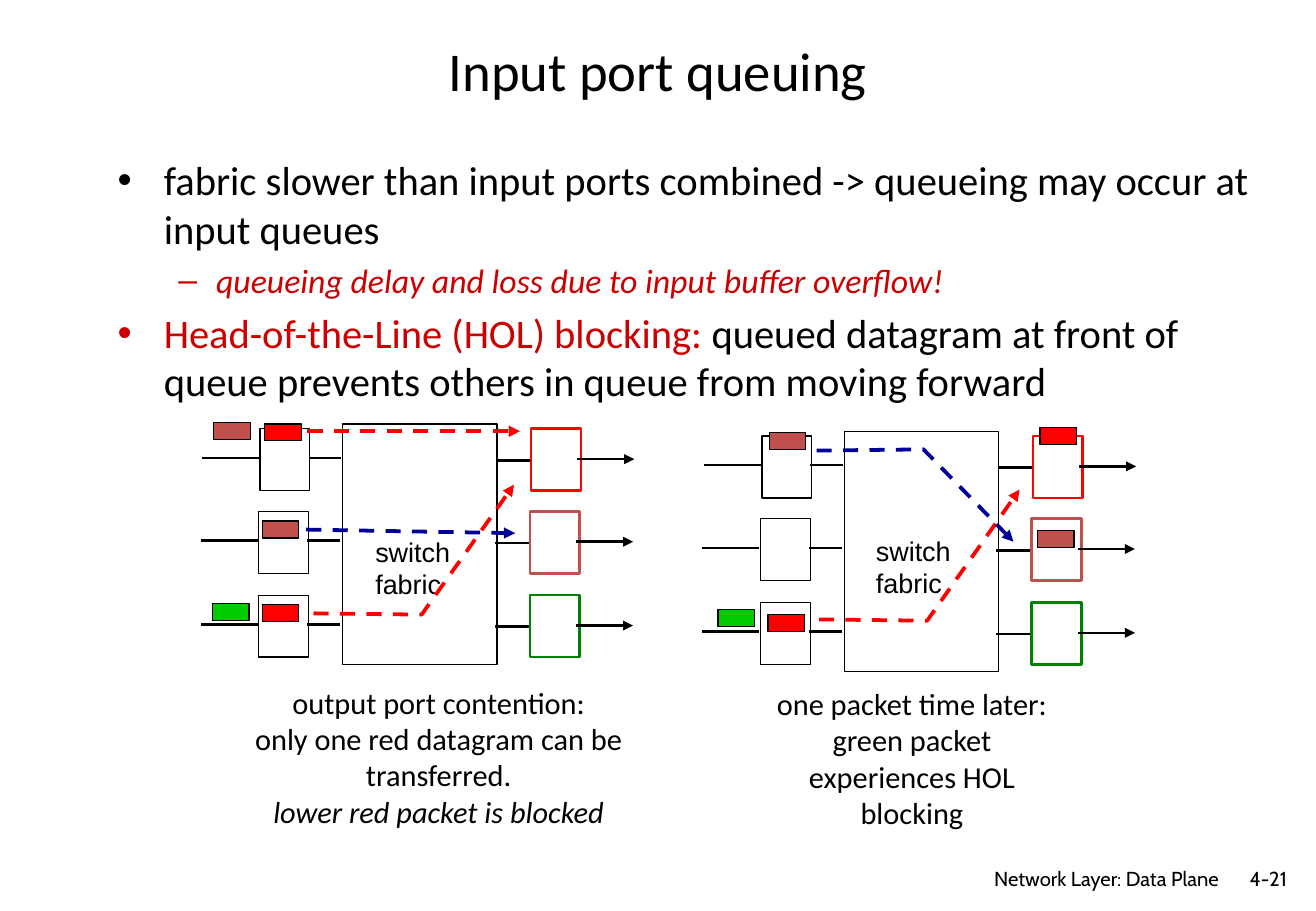
from lxml import etree
from pptx import Presentation
from pptx.dml.color import RGBColor
from pptx.enum.dml import MSO_LINE_DASH_STYLE as Dash
from pptx.enum.shapes import MSO_CONNECTOR as Connector, MSO_SHAPE as Shape
from pptx.enum.text import MSO_ANCHOR as Anchor, PP_ALIGN as Align
from pptx.oxml.ns import qn
from pptx.util import Inches, Pt

BLACK = RGBColor(0x00, 0x00, 0x00)
WHITE = RGBColor(0xFF, 0xFF, 0xFF)
RED = RGBColor(0xFF, 0x00, 0x00)
BRICK = RGBColor(0xC0, 0x50, 0x4D)
DARK_GREEN = RGBColor(0x00, 0x80, 0x00)
GREEN = RGBColor(0x00, 0xCC, 0x00)
BLUE = RGBColor(0x00, 0x00, 0x99)
ACCENT = RGBColor(0xCC, 0x00, 0x00)

# A paragraph is a list of spans: (text, colour, italic)
TITLE = [[("Input port queuing", BLACK, False)]]
BODY = [
    [("fabric slower than input ports combined -> queueing may occur at input queues",
      BLACK, False)],
    [("queueing delay and loss due to input buffer overflow!", ACCENT, True)],
    [("Head-of-the-Line (HOL) blocking:", ACCENT, False),
     (" queued datagram at front of queue prevents others in queue from moving forward",
      BLACK, False)],
]
BODY_LEVELS = [0, 1, 0]
# level: (bullet, text size, left margin, hanging indent, space before)
BULLETS = {0: ("•", 24, 0.38, 0.38, 4.8), 1: ("–", 20, 0.81, 0.31, 4)}
FOOTER = [[("Network Layer: Data Plane", BLACK, False)]]
PAGE_NUMBER = [[("4-21", BLACK, False)]]
FABRIC = [[("switch", BLACK, False)], [("fabric", BLACK, False)]]

# Port rows: (line height, shift to the right, output colour)
PORTS = [(3.78, 0.01, RED), (4.46, 0, BRICK), (5.15, 0, DARK_GREEN)]
# Port lines: (from x, to x, offset in y, arrowhead)
PORT_LINES = [(4.07, 4.35, 0.01, False), (2.53, 2.8, -0.01, False),
              (1.65, 2.12, -0.01, False), (4.74, 5.21, 0, True)]
SWITCH_BOX = (2.82, 3.49, 1.27, 1.98)
PORT_SIZE = (0.41, 0.51)
PACKET_SIZE = (0.3, 0.14)

PANELS = [
    {"offset": (0, 0),
     "label": (2.99, 4.36, 0.82, 0.64),
     "packets": [(2.18, 3.49, RED), (2.16, 4.29, BRICK), (2.16, 4.98, RED),
                 (1.76, 3.48, BRICK), (1.75, 4.97, GREEN)],
     "routes": [(RED, [(2.53, 3.55), (4.28, 3.55)]),
                (RED, [(2.58, 5.05), (3.47, 5.06), (4.23, 3.99)]),
                (BLUE, [(2.52, 4.36), (4.24, 4.39)])],
     "caption_box": (1.6, 5.58, 4.02, 1.3),
     "caption": [[("output port contention:", BLACK, False)],
                 [("only one red datagram can be transferred.", BLACK, False)],
                 [("lower red packet is blocked", BLACK, True)]]},
    {"offset": (4.13, 0.06),
     "label": (7.11, 4.35, 0.82, 0.64),
     "packets": [(8.56, 3.52, RED), (6.33, 3.56, BRICK), (6.32, 5.06, RED),
                 (5.91, 5.02, GREEN), (8.54, 4.37, BRICK)],
     "routes": [(RED, [(6.74, 5.1), (7.63, 5.11), (8.39, 4.03)]),
                (BLUE, [(6.72, 3.71), (7.6, 3.7), (8.34, 4.46)])],
     "caption_box": (6.18, 5.59, 2.65, 1.3),
     "caption": [[("one packet time later: green packet experiences HOL blocking",
                   BLACK, False)]]},
]


def inches(values):
    return [Inches(value) for value in values]


def add_text(page, place, paragraphs, size, font="Calibri", align=Align.LEFT,
             anchor=Anchor.TOP, wrap=True):
    box = page.shapes.add_textbox(*inches(place))
    frame = box.text_frame
    frame.word_wrap = wrap
    frame.vertical_anchor = anchor
    for index, spans in enumerate(paragraphs):
        para = frame.add_paragraph() if index else frame.paragraphs[0]
        para.alignment = align
        for text, color, italic in spans:
            span = para.add_run()
            span.text = text
            span.font.name = font
            span.font.size = Pt(size)
            span.font.italic = italic
            span.font.color.rgb = color
    return box


def add_bullets(box, levels):
    for para, level in zip(box.text_frame.paragraphs, levels):
        bullet, size, margin, hanging, before = BULLETS[level]
        para.level = level
        para.space_before = Pt(before)
        for span in para.runs:
            span.font.size = Pt(size)
        settings = para._p.get_or_add_pPr()
        settings.set("marL", str(Inches(margin)))
        settings.set("indent", str(-Inches(hanging)))
        etree.SubElement(settings, qn("a:buFont"), typeface="Arial")
        etree.SubElement(settings, qn("a:buChar"), char=bullet)


def add_rect(page, place, fill, line=BLACK, width=0.75):
    rect = page.shapes.add_shape(Shape.RECTANGLE, *inches(place))
    rect.shadow.inherit = False
    rect.fill.solid()
    rect.fill.fore_color.rgb = fill
    rect.line.color.rgb = line
    rect.line.width = Pt(width)


def add_path(page, points, color=BLACK, width=1.5, dashed=False, arrow=False):
    """Draw a straight connector, or an open outline when there are bends."""
    corners = [tuple(inches(point)) for point in points]
    if len(corners) == 2:
        path = page.shapes.add_connector(Connector.STRAIGHT, *corners[0], *corners[1])
    else:
        builder = page.shapes.build_freeform(*corners[0])
        builder.add_line_segments(corners[1:], close=False)
        path = builder.convert_to_shape()
        path.fill.background()
    path.line.color.rgb = color
    path.line.width = Pt(width)
    if dashed:
        path.line.dash_style = Dash.DASH
    if arrow:
        etree.SubElement(path.line._get_or_add_ln(), qn("a:tailEnd"), type="triangle")
    etree.SubElement(path._element.spPr, qn("a:effectLst"))


def add_switch(page, dx, dy):
    """Draw the switch with its ports, moved by dx and dy."""
    left, top, width, height = SWITCH_BOX
    add_rect(page, (left + dx, top + dy, width, height), WHITE)
    for y, shift, color in PORTS:
        x, y = dx + shift, y + dy
        add_rect(page, (2.13 + x, y - 0.25, *PORT_SIZE), WHITE)
        add_rect(page, (4.36 + x, y - 0.25, *PORT_SIZE), WHITE, color, 1.5)
        for start, end, offset, arrow in PORT_LINES:
            add_path(page, [(start + x, y + offset), (end + x, y + offset)], arrow=arrow)


def main():
    deck = Presentation()
    deck.slide_width, deck.slide_height = Inches(10.83), Inches(7.5)
    page = deck.slides.add_slide(deck.slide_layouts[6])

    add_text(page, (0.81, 0.32, 9.21, 0.5), TITLE, 32.4,
             align=Align.CENTER, anchor=Anchor.MIDDLE)
    body = add_text(page, (0.87, 1.23, 9.6, 2.9), BODY, 24)
    add_bullets(body, BODY_LEVELS)
    add_text(page, (7.55, 7.08, 2.58, 0.26), FOOTER, 12, "Cabin", Align.RIGHT)
    add_text(page, (10.02, 7.08, 0.67, 0.3), PAGE_NUMBER, 12, "Cabin",
             Align.RIGHT, Anchor.MIDDLE)

    for panel in PANELS:
        add_switch(page, *panel["offset"])
        add_text(page, panel["caption_box"], panel["caption"], 18, align=Align.CENTER)
        add_text(page, panel["label"], FABRIC, 16, "Arial", wrap=False)
        for x, y, color in panel["packets"]:
            add_rect(page, (x, y, *PACKET_SIZE), color)
        for color, points in panel["routes"]:
            add_path(page, points, color, 2.25, dashed=True, arrow=True)

    deck.save("out.pptx")


if __name__ == "__main__":
    main()
